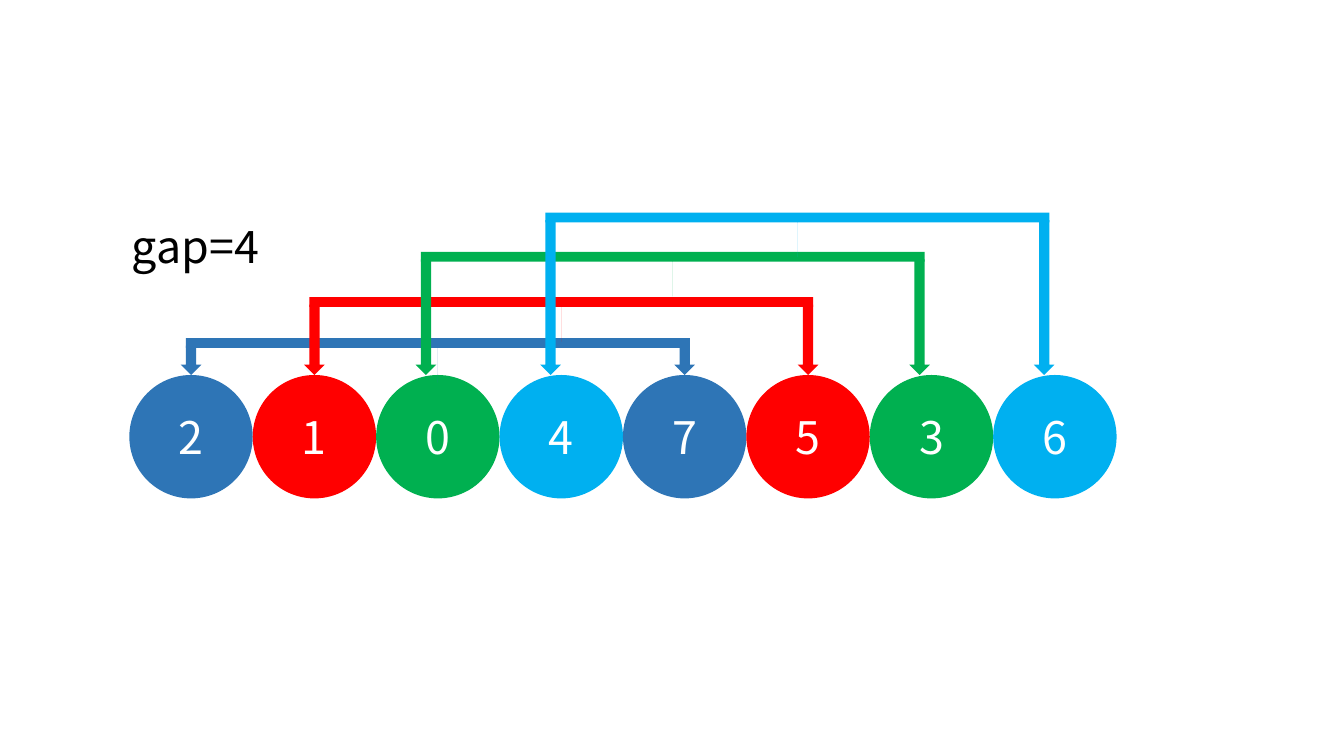
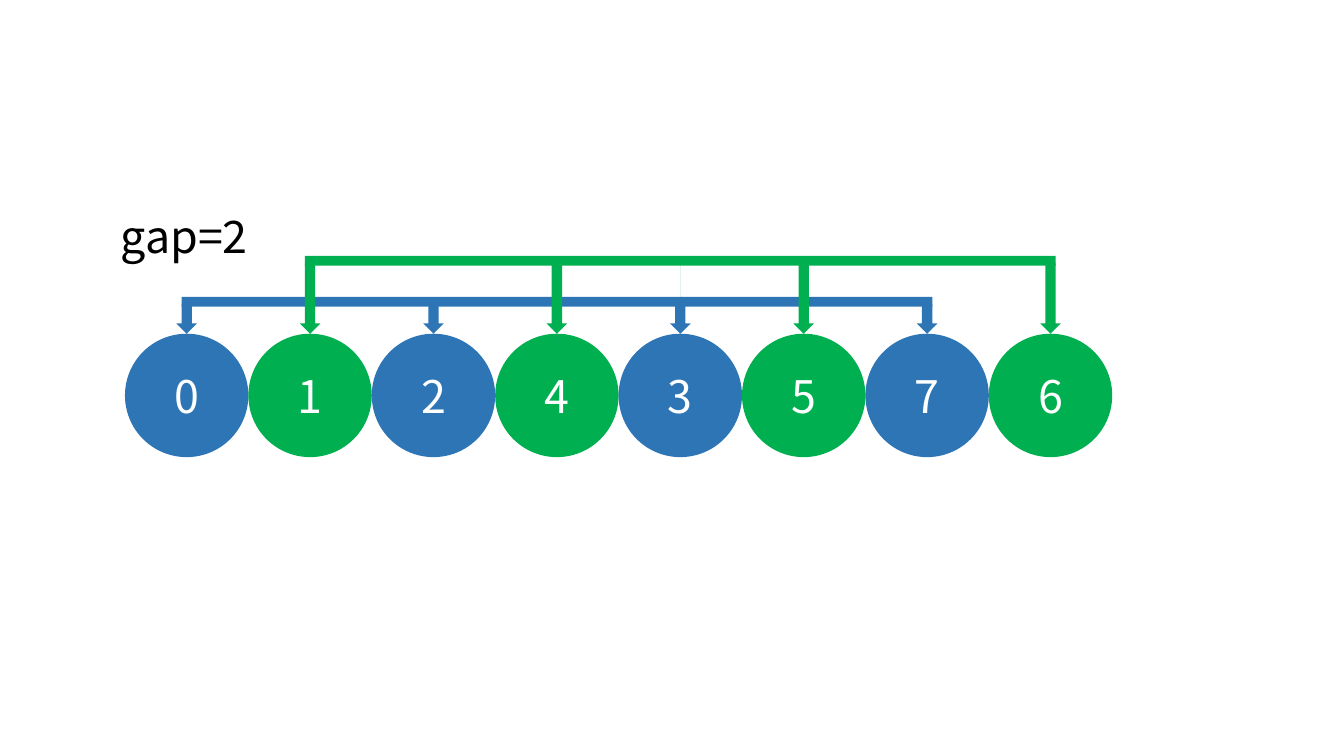
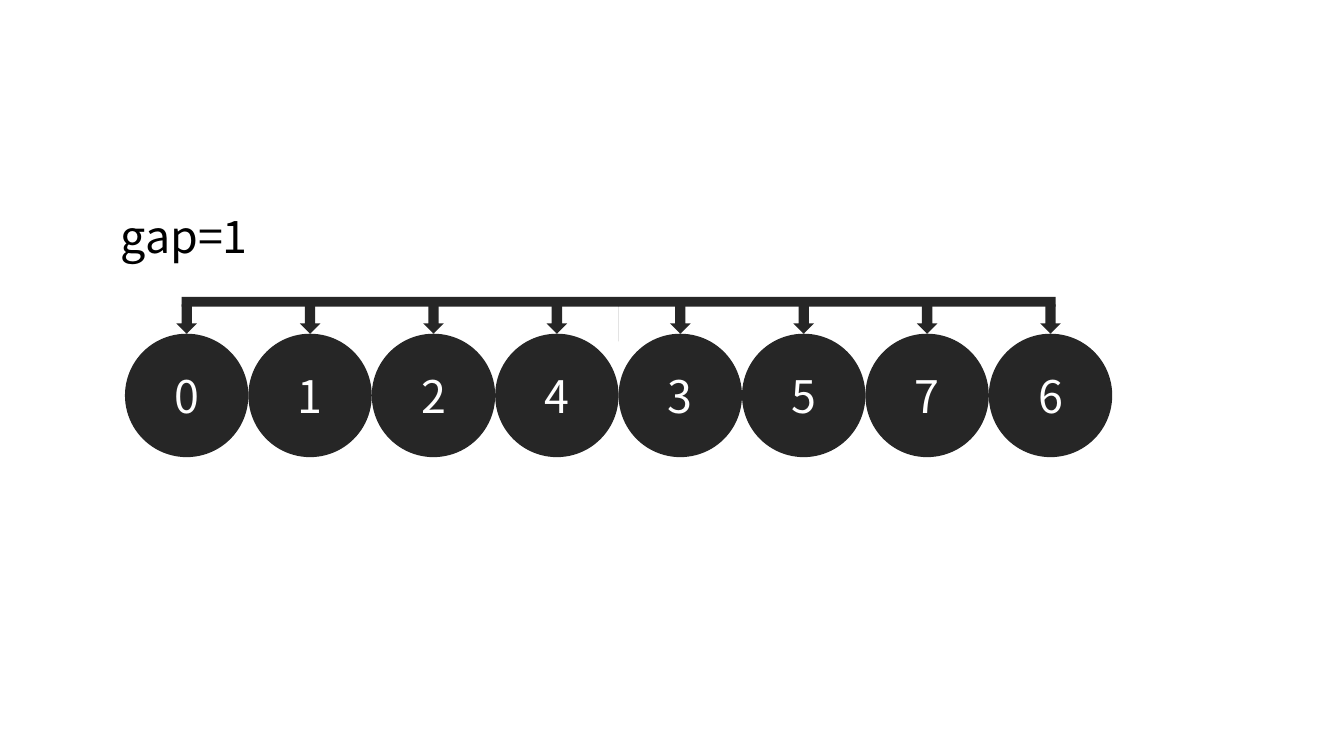
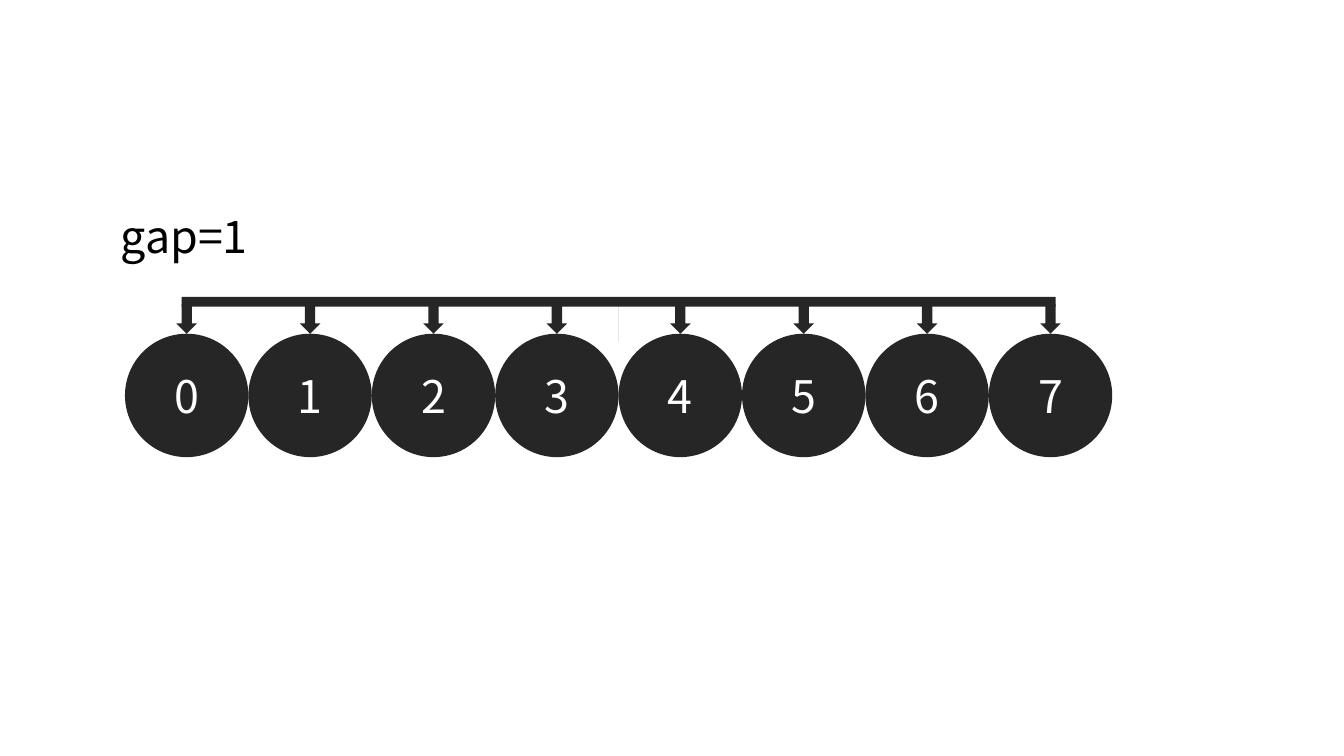
from pptx import Presentation
from pptx.dml.color import RGBColor
from pptx.enum.shapes import MSO_SHAPE
from pptx.enum.text import MSO_ANCHOR, MSO_AUTO_SIZE, PP_ALIGN
from pptx.util import Cm, Pt

CIRCLE, BAR, ARROW = MSO_SHAPE.OVAL, MSO_SHAPE.DOWN_ARROW_CALLOUT, MSO_SHAPE.DOWN_ARROW
CENTER, MIDDLE = PP_ALIGN.CENTER, MSO_ANCHOR.MIDDLE
GROW = MSO_AUTO_SIZE.SHAPE_TO_FIT_TEXT

COLORS = {
    "blue": "2E75B6",
    "red": "FF0000",
    "green": "00B050",
    "sky": "00B0F0",
    "dark": "262626",
    "white": "FFFFFF",
    "black": "000000",
}
FONT, FONT_SIZE = "Noto Sans CJK SC", Pt(32)

# One chain per colour: every gap-th number belongs to the same chain.
STEPS = [
    {"numbers": "21047536", "chains": ["blue", "red", "green", "sky"],
     "row": (3.26, 9.45), "label": (3.07, 5.38), "shifts": [0, 0, -0.3, -0.27]},
    {"numbers": "01243576", "chains": ["blue", "green"],
     "row": (3.15, 8.41), "label": (2.79, 5.13), "shifts": [0, 0]},
    {"numbers": "01243576", "chains": ["dark"],
     "row": (3.15, 8.41), "label": (2.79, 5.13), "shifts": [0]},
    {"numbers": "01234567", "chains": ["dark"],
     "row": (3.15, 8.41), "label": (2.79, 5.13), "shifts": [0]},
]

# Lengths in centimetres
DIAMETER = 3.11
BAR_RISES = [0.93, 1.96, 3.1, 4.09]  # bar top above the circles, per chain
BAR_HEIGHT = 1.12
BAR_ADJUSTMENTS = [0, 0, 0.25, 0.22]
ARROW_WIDTH = 0.52
SHAFT = ARROW_WIDTH / 2
ARROW_DROP = 0.19  # arrow top below the bar top


def write(shape, text, color):
    frame = shape.text_frame
    frame.word_wrap = True
    frame.text = text
    font = frame.paragraphs[0].runs[0].font
    font.name, font.size = FONT, FONT_SIZE
    font.color.rgb = RGBColor.from_string(COLORS[color])
    return frame


def add_flat(shapes, kind, color, *box):
    """Add a filled shape without outline or shadow; box is in centimetres."""
    shape = shapes.add_shape(kind, *map(Cm, box))
    shape.shadow.inherit = False
    shape.fill.solid()
    shape.fill.fore_color.rgb = RGBColor.from_string(COLORS[color])
    shape.line.fill.background()
    return shape


def add_numbers(slide, numbers, chains, left, top):
    circles = slide.shapes.add_group_shape().shapes
    for i, number in enumerate(numbers):
        circle = add_flat(circles, CIRCLE, chains[i % len(chains)],
                          left + i * DIAMETER, top, DIAMETER, DIAMETER)
        frame = write(circle, number, "white")
        frame.vertical_anchor = MIDDLE
        frame.paragraphs[0].alignment = CENTER


def add_chain(slide, color, first_center, pitch, count, bar_top, row_top):
    """Draw a bar with one arrow down to each member of the chain."""
    chain = slide.shapes.add_group_shape().shapes
    bar = add_flat(chain, BAR, color, first_center - SHAFT / 2, bar_top,
                   (count - 1) * pitch + SHAFT, BAR_HEIGHT)
    for i, value in enumerate(BAR_ADJUSTMENTS):
        bar.adjustments[i] = value
    arrow_top = bar_top + ARROW_DROP
    for i in range(count):
        add_flat(chain, ARROW, color, first_center + i * pitch - ARROW_WIDTH / 2,
                 arrow_top, ARROW_WIDTH, row_top - arrow_top)


def add_step(prs, step):
    slide = prs.slides.add_slide(prs.slide_layouts.get_by_name("Blank"))
    numbers, chains = step["numbers"], step["chains"]
    left, top = step["row"]
    gap = len(chains)
    add_numbers(slide, numbers, chains, left, top)

    label = slide.shapes.add_textbox(*map(Cm, step["label"]), Cm(4.37), Cm(1.62))
    write(label, f"gap={gap}", "black").auto_size = GROW

    for i, (color, shift, rise) in enumerate(zip(chains, step["shifts"], BAR_RISES)):
        center = left + (i + 0.5) * DIAMETER + shift
        add_chain(slide, color, center, gap * DIAMETER, len(numbers) // gap,
                  top - rise, top)


def main():
    prs = Presentation()
    prs.slide_width, prs.slide_height = Cm(33.87), Cm(19.05)
    for step in STEPS:
        add_step(prs, step)
    prs.save("out.pptx")


if __name__ == "__main__":
    main()
